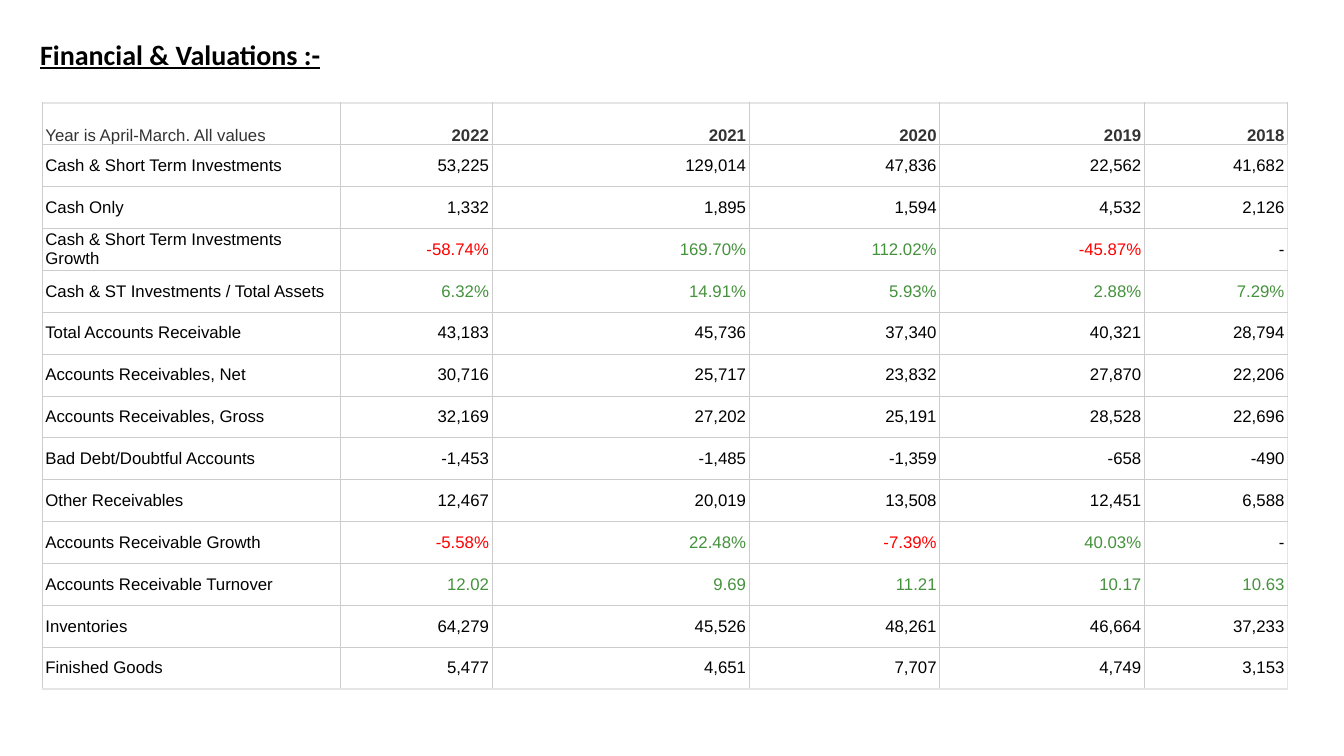
import pptx
import pptx.dml.color
import pptx.enum.text
import pptx.oxml
import pptx.oxml.ns
import pptx.util
from pptx.util import Inches

BLACK, HEADER_GREY, GREEN, RED = "000000", "333333", "45923D", "FF0000"
INNER_BORDER, OUTER_BORDER = ("CCCCCC", 0.6), ("E5E5E5", 1.2)

COLUMN_WIDTHS = [2.96, 1.5, 2.55, 1.89, 2.03, 1.42]
TABLE_HEIGHT = 5.82
FINANCIALS = [
    ["Year is April-March. All values", "2022", "2021", "2020", "2019", "2018"],
    ["Cash & Short Term Investments", "53,225", "129,014", "47,836", "22,562", "41,682"],
    ["Cash Only", "1,332", "1,895", "1,594", "4,532", "2,126"],
    ["Cash & Short Term Investments Growth", "-58.74%", "169.70%", "112.02%", "-45.87%", "-"],
    ["Cash & ST Investments / Total Assets", "6.32%", "14.91%", "5.93%", "2.88%", "7.29%"],
    ["Total Accounts Receivable", "43,183", "45,736", "37,340", "40,321", "28,794"],
    ["Accounts Receivables, Net", "30,716", "25,717", "23,832", "27,870", "22,206"],
    ["Accounts Receivables, Gross", "32,169", "27,202", "25,191", "28,528", "22,696"],
    ["Bad Debt/Doubtful Accounts", "-1,453", "-1,485", "-1,359", "-658", "-490"],
    ["Other Receivables", "12,467", "20,019", "13,508", "12,451", "6,588"],
    ["Accounts Receivable Growth", "-5.58%", "22.48%", "-7.39%", "40.03%", "-"],
    ["Accounts Receivable Turnover", "12.02", "9.69", "11.21", "10.17", "10.63"],
    ["Inventories", "64,279", "45,526", "48,261", "46,664", "37,233"],
    ["Finished Goods", "5,477", "4,651", "7,707", "4,749", "3,153"],
]


def rgb(hex_color):
    return pptx.dml.color.RGBColor.from_string(hex_color)


def style_paragraph(paragraph, font_name, size, color, bold=False, underline=False):
    font = paragraph.font
    font.name, font.size = font_name, pptx.util.Pt(size)
    font.bold, font.underline = bold, underline
    font.color.rgb = rgb(color)


def add_heading(slide, text):
    heading = slide.shapes.add_textbox(Inches(0.3), Inches(0.32), Inches(6.67), Inches(0.44))
    frame = heading.text_frame
    frame.word_wrap = True
    frame.auto_size = pptx.enum.text.MSO_AUTO_SIZE.SHAPE_TO_FIT_TEXT
    frame.text = text
    style_paragraph(frame.paragraphs[0], "Calibri", 20, BLACK, bold=True, underline=True)


def value_color(value):
    """Ratios, written with decimals, are red when negative and green otherwise."""
    if "." not in value:
        return BLACK
    return RED if value.startswith("-") else GREEN


def set_borders(cell, right, top, bottom):
    """Each border is a (colour, points) pair; the left one is always an inner border."""
    properties = cell._tc.get_or_add_tcPr()
    sides = {"L": INNER_BORDER, "R": right, "T": top, "B": bottom}
    for side, (color, points) in sides.items():
        properties.append(pptx.oxml.parse_xml(
            f'<a:ln{side} {pptx.oxml.ns.nsdecls("a")} w="{pptx.util.Pt(points)}">'
            f'<a:solidFill><a:srgbClr val="{color}"/></a:solidFill></a:ln{side}>'))


def fill_cell(cell, text, is_header, is_label):
    cell.text = text
    cell.margin_left = cell.margin_right = Inches(0.03)
    cell.margin_top = cell.margin_bottom = 0
    anchors = pptx.enum.text.MSO_ANCHOR
    cell.vertical_anchor = anchors.BOTTOM if is_header else anchors.MIDDLE
    paragraph = cell.text_frame.paragraphs[0]
    alignments = pptx.enum.text.PP_ALIGN
    paragraph.alignment = alignments.LEFT if is_label else alignments.RIGHT
    if is_header:
        color = HEADER_GREY
    else:
        color = BLACK if is_label else value_color(text)
    style_paragraph(paragraph, "Arial", 12, color, bold=is_header and not is_label)


def add_financial_table(slide):
    last_row, last_column = len(FINANCIALS) - 1, len(COLUMN_WIDTHS) - 1
    table = slide.shapes.add_table(
        len(FINANCIALS), len(COLUMN_WIDTHS), Inches(0.42), Inches(1.02),
        Inches(sum(COLUMN_WIDTHS)), Inches(TABLE_HEIGHT)).table
    table.first_row = table.horz_banding = False
    for column, width in zip(table.columns, COLUMN_WIDTHS):
        column.width = Inches(width)
    for r, values in enumerate(FINANCIALS):
        table.rows[r].height = Inches(TABLE_HEIGHT / len(FINANCIALS))
        for c, text in enumerate(values):
            cell = table.cell(r, c)
            fill_cell(cell, text, is_header=r == 0, is_label=c == 0)
            set_borders(
                cell,
                right=OUTER_BORDER if c == last_column and r > 0 else INNER_BORDER,
                top=OUTER_BORDER if r == 0 else INNER_BORDER,
                bottom=OUTER_BORDER if r == last_row else INNER_BORDER)
            cell.fill.background()


def main():
    presentation = pptx.Presentation()
    presentation.slide_width, presentation.slide_height = Inches(13.33), Inches(7.5)
    slide = presentation.slides.add_slide(presentation.slide_layouts[6])
    add_heading(slide, "Financial & Valuations :-")
    add_financial_table(slide)
    presentation.save("out.pptx")


if __name__ == "__main__":
    main()
